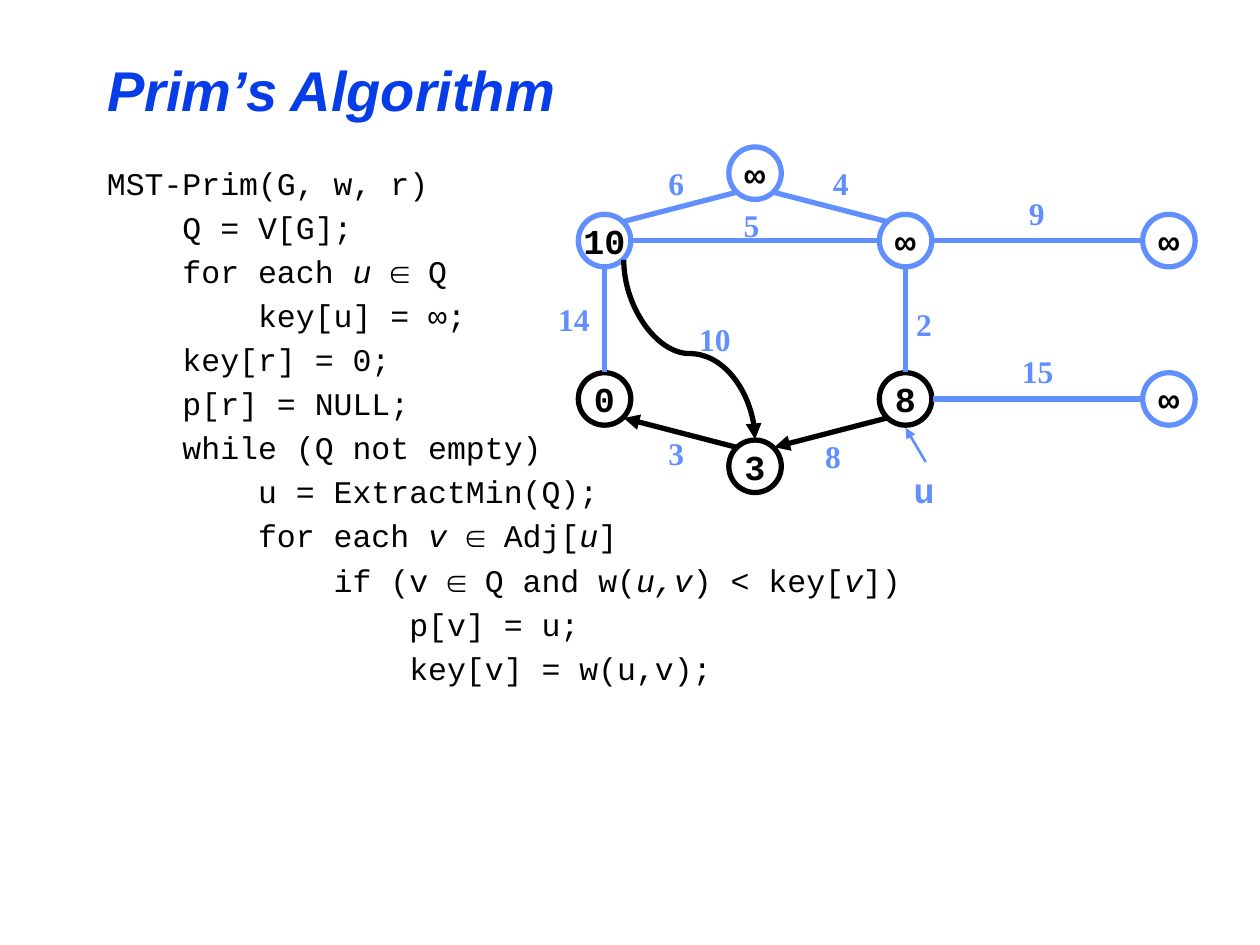
import math
from lxml import etree
from pptx import Presentation
from pptx.dml import color
from pptx.enum import shapes, text
from pptx.oxml import ns
from pptx.util import Pt

BLUE, BLACK, ROYAL = "618FFD", "000000", "063DE8"
SIZE, REACH = 30, 15.5
COLS = (0, 86, 172, 322.5)
ROWS = (0, 38.5, 129, 167.5)
MONO = {"name": "Courier New", "size": Pt(18), "bold": False}
BOLD = {"name": "Courier New", "size": Pt(20), "bold": True}
SERIF = {"name": "Times New Roman", "size": Pt(18), "bold": True}
TITLE = {"name": "Arial", "size": Pt(32), "bold": True, "italic": True}

CODE = [
    ["MST-Prim(G, w, r)"],
    ["    Q = V[G];"],
    ["    for each ", "u ", "∈ Q"],
    ["        key[u] = ∞;"],
    ["    key[r] = 0;"],
    ["    p[r] = NULL;"],
    ["    while (Q not empty)"],
    ["        u = ExtractMin(Q);"],
    ["        for each ", "v ", "∈ Adj[", "u", "]"],
    ["            if (v ∈ Q and w(", "u,v", ") < key[", "v", "])"],
    ["                p[v] = u;"],
    ["                key[v] = w(u,v);"],
]
NODES = {
    "a": (0, 1, "10", BLUE), "b": (2, 1, "∞", BLUE), "c": (3, 1, "∞", BLUE),
    "r": (0, 2, "0", BLACK), "u": (2, 2, "8", BLACK), "d": (3, 2, "∞", BLUE),
    "p": (1, 3, "3", BLACK), "t": (1, 0, "∞", BLUE),
}
EDGES = [
    ("t", "b", 45, BLUE), ("t", "a", 135, BLUE), ("a", "b", 0, BLUE),
    ("r", "a", 270, BLUE), ("r", "p", 45, BLACK), ("p", "u", 315, BLACK),
    ("u", "b", 270, BLUE), ("b", "c", 0, BLUE), ("u", "d", 0, BLUE),
]
COSTS = [
    ("14", -2.5, 98.5), ("10", 78, 110), ("3", 56, 175), ("6", 56, 20.5),
    ("4", 150, 20.5), ("5", 99, 44.5), ("2", 197.5, 101.5), ("9", 262, 38),
    ("15", 262.5, 128), ("8", 145.5, 176.5),
]


def rgb(tone):
    """Turn a hex string into a colour."""
    return color.RGBColor.from_string(tone)


def style(font, form, tone):
    """Apply format values and a colour to a font."""
    for key, val in form.items():
        setattr(font, key, val)
    font.color.rgb = rgb(tone)


def write(shape, words, form, tone):
    """Put one centred, unwrapped line in a shape."""
    frame = shape.text_frame
    frame.word_wrap = False
    par = frame.paragraphs[0]
    par.alignment = text.PP_ALIGN.CENTER
    run = par.add_run()
    run.text = words
    style(run.font, form, tone)


def label(slide, words, mid, form, tall=29):
    """Place a blue label centred on a point, in a box that fits its text."""
    wide = 34 if len(words) > 1 else 26
    box = slide.shapes.add_textbox(
        Pt(mid[0] - wide / 2), Pt(mid[1] - tall / 2), Pt(wide), Pt(tall))
    write(box, words, form, BLUE)
    box.text_frame.auto_size = text.MSO_AUTO_SIZE.SHAPE_TO_FIT_TEXT


def link(slide, start, end, tone, width=3, arrow=None, kind="STRAIGHT"):
    """Draw a connector, with an arrow at headEnd or tailEnd if asked."""
    line = slide.shapes.add_connector(
        shapes.MSO_CONNECTOR[kind], *(Pt(n) for n in (*start, *end)))
    line.line.color.rgb = rgb(tone)
    line.line.width = Pt(width)
    props = line._element.spPr
    if arrow:
        tip = etree.SubElement(props.find(ns.qn("a:ln")), ns.qn("a:" + arrow))
        tip.set("type", "triangle")
    etree.SubElement(props, ns.qn("a:effectLst"))
    return line


def curve(slide, start, end, tone):
    """Draw an S curve that leaves and arrives vertically."""
    mid = [(a + b) / 2 for a, b in zip(start, end)]
    half = [abs(a - b) / 2 for a, b in zip(start, end)]
    line = link(slide, (mid[0] + half[1], mid[1] - half[0]),
                (mid[0] - half[1], mid[1] + half[0]), tone,
                arrow="headEnd", kind="CURVE")
    props = line._element.spPr
    props.find(ns.qn("a:xfrm")).set("rot", "5400000")
    geom = props.find(ns.qn("a:prstGeom"))
    for old in geom.findall(ns.qn("a:avLst")):
        geom.remove(old)
    bend = etree.SubElement(etree.SubElement(geom, ns.qn("a:avLst")), ns.qn("a:gd"))
    bend.set("name", "adj1")
    bend.set("fmla", "val 47800")


def title(slide, left, top, width, height):
    """Fill and place the title."""
    head = slide.shapes.title
    head.left, head.top, head.width, head.height = map(Pt, (left, top, width, height))
    frame = head.text_frame
    frame.vertical_anchor = text.MSO_ANCHOR.MIDDLE
    par = frame.paragraphs[0]
    par.alignment = text.PP_ALIGN.LEFT
    run = par.add_run()
    run.text = "Prim’s Algorithm"
    style(run.font, TITLE, ROYAL)


def code(slide, left, top, width, height):
    """Write the pseudocode; every second run is italic."""
    frame = slide.shapes.add_textbox(*map(Pt, (left, top, width, height))).text_frame
    frame.word_wrap = True
    for row, parts in enumerate(CODE):
        par = frame.add_paragraph() if row else frame.paragraphs[0]
        par.space_before = Pt(3.6 if row else 0)
        for turn, part in enumerate(parts):
            run = par.add_run()
            run.text = part
            style(run.font, {**MONO, "italic": turn % 2 == 1}, BLACK)


def graph(slide, left, top):
    """Draw the weighted graph from its top left corner."""
    def site(name, turn):
        """Find the point on a node's rim at an angle."""
        col, row = NODES[name][:2]
        ang = math.radians(turn)
        return (left + COLS[col] + SIZE / 2 + REACH * math.cos(ang),
                top + ROWS[row] + SIZE / 2 + REACH * math.sin(ang))

    for col, row, words, tone in NODES.values():
        node = slide.shapes.add_shape(
            shapes.MSO_SHAPE.OVAL, Pt(left + COLS[col]), Pt(top + ROWS[row]),
            Pt(SIZE), Pt(SIZE))
        node.shadow.inherit = False
        node.fill.background()
        node.line.color.rgb = rgb(tone)
        node.line.width = Pt(3)
        node.text_frame.vertical_anchor = text.MSO_ANCHOR.MIDDLE
        write(node, words, BOLD, BLACK)
    for one, two, turn, tone in EDGES:
        link(slide, site(one, turn), site(two, turn + 180), tone,
             arrow="headEnd" if tone == BLACK else None)
    curve(slide, site("p", 270), site("a", 45), BLACK)
    for words, x, y in COSTS:
        label(slide, words, (left + x, top + y), SERIF)
    label(slide, "u", (left + 197.5, top + 195.5), BOLD, 31)
    link(slide, (left + 198.5, top + 180), (left + 187, top + 160.5), BLUE,
         1.5, "tailEnd")


def main():
    """Build and save the slide."""
    deck = Presentation()
    deck.slide_width, deck.slide_height = Pt(720), Pt(540)
    slide = deck.slides.add_slide(deck.slide_layouts[5])
    title(slide, 54, 24, 612, 54)
    code(slide, 54, 90, 618, 432)
    graph(slide, 330.5, 84)
    deck.save("out.pptx")


if __name__ == "__main__":
    main()
